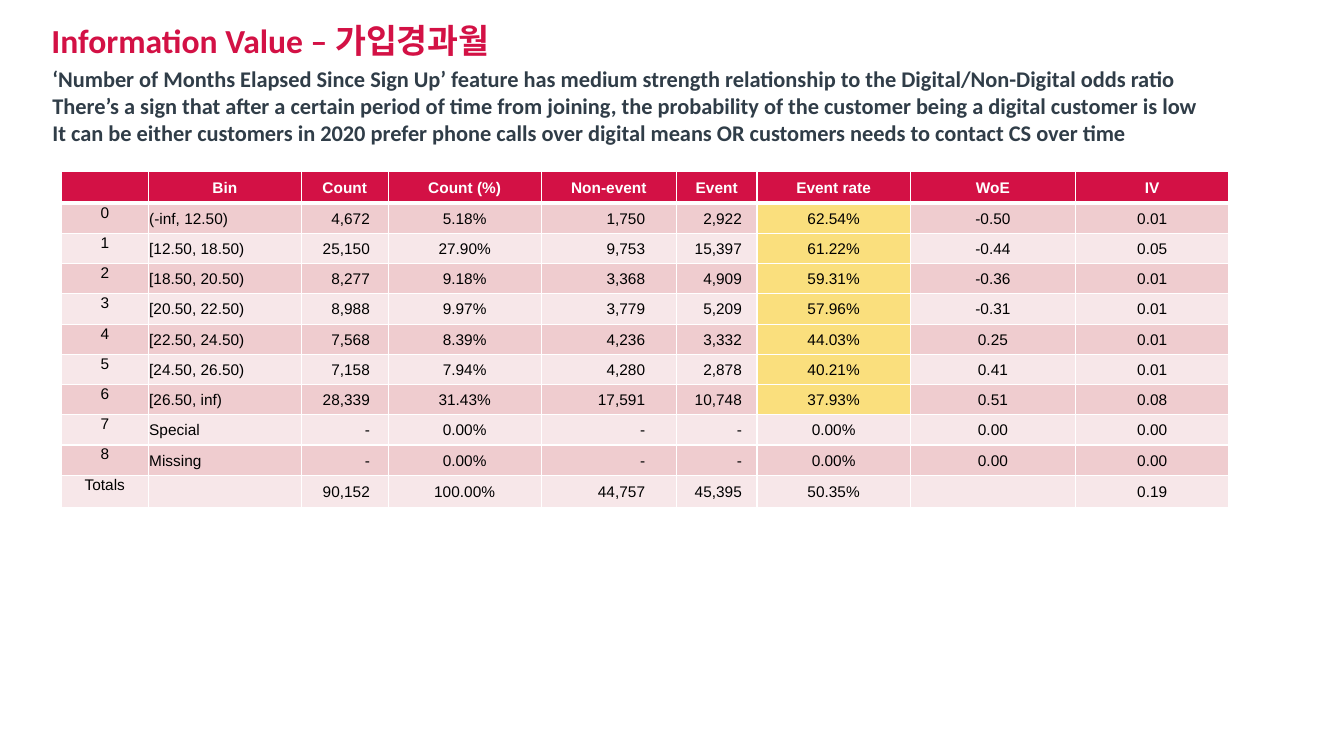
from dataclasses import dataclass

from lxml import etree
from pptx import Presentation
from pptx.dml.color import RGBColor
from pptx.enum.text import MSO_ANCHOR, MSO_AUTO_SIZE, PP_ALIGN
from pptx.oxml.ns import qn
from pptx.util import Inches, Pt

LEFT, MID, RIGHT = PP_ALIGN.LEFT, PP_ALIGN.CENTER, PP_ALIGN.RIGHT
TOP, CENTER = MSO_ANCHOR.TOP, MSO_ANCHOR.MIDDLE
FIXED = MSO_AUTO_SIZE.NONE
RED, SLATE, WHITE, BLACK = "D31145", "303D48", "FFFFFF", "000000"
BANDS = ("F7E7E9", "EFCCCF")
GOLD = "FADF7D"
ROW = 0.3
RATE = 6
RATED = range(1, 8)


@dataclass
class Column:
    head: str
    width: float
    align: int = MID
    pad: float = 0.01
    anchor: int = CENTER


@dataclass
class Block:
    slot: int
    box: tuple
    lines: tuple
    size: int
    color: str
    format: dict


COLUMNS = (
    Column("", 0.86, anchor=TOP),
    Column("Bin", 1.52, LEFT),
    Column("Count", 0.86, RIGHT, 0.18),
    Column("Count (%)", 1.52),
    Column("Non-event", 1.34, RIGHT, 0.31),
    Column("Event", 0.8, RIGHT, 0.15),
    Column("Event rate", 1.52),
    Column("WoE", 1.64),
    Column("IV", 1.52),
)

DATA = (
    ("0", "(-inf, 12.50)", "4,672", "5.18%", "1,750", "2,922", "62.54%", "-0.50", "0.01"),
    ("1", "[12.50, 18.50)", "25,150", "27.90%", "9,753", "15,397", "61.22%", "-0.44", "0.05"),
    ("2", "[18.50, 20.50)", "8,277", "9.18%", "3,368", "4,909", "59.31%", "-0.36", "0.01"),
    ("3", "[20.50, 22.50)", "8,988", "9.97%", "3,779", "5,209", "57.96%", "-0.31", "0.01"),
    ("4", "[22.50, 24.50)", "7,568", "8.39%", "4,236", "3,332", "44.03%", "0.25", "0.01"),
    ("5", "[24.50, 26.50)", "7,158", "7.94%", "4,280", "2,878", "40.21%", "0.41", "0.01"),
    ("6", "[26.50, inf)", "28,339", "31.43%", "17,591", "10,748", "37.93%", "0.51", "0.08"),
    ("7", "Special", "-", "0.00%", "-", "-", "0.00%", "0.00", "0.00"),
    ("8", "Missing", "-", "0.00%", "-", "-", "0.00%", "0.00", "0.00"),
    ("Totals", "", "90,152", "100.00%", "44,757", "45,395", "50.35%", "", "0.19"),
)

BLOCKS = (
    Block(0, (0.51, 0.29, 11.92, 0.83), ("Information Value – 가입경과월",), 24, RED,
          {"line_spacing": Pt(21.8), "alignment": LEFT}),
    Block(1, (0.52, 0.65, 11.75, 0.76), (
        "‘Number of Months Elapsed Since Sign Up’ feature has medium strength relationship to the Digital/Non-Digital odds ratio",
        "There’s a sign that after a certain period of time from joining, the probability of the customer being a digital customer is low",
        "It can be either customers in 2020 prefer phone calls over digital means OR customers needs to contact CS over time",
    ), 16, SLATE, {"space_before": Pt(0), "alignment": LEFT}),
)


def rgb(code: str) -> RGBColor:
    return RGBColor.from_string(code)


def apply(item, values: dict) -> None:
    for name, value in values.items():
        setattr(item, name, value)


def write(para, text: str, face: str, size: int, color: str, bold: bool) -> None:
    run = para.add_run()
    run.text = text
    apply(run.font, {"name": face, "size": Pt(size), "bold": bold})
    run.font.color.rgb = rgb(color)


def border(cell, index: int, side: str, width: float) -> None:
    line = etree.Element(qn(f"a:{side}"), w=str(Pt(width)))
    fill = etree.SubElement(line, qn("a:solidFill"))
    etree.SubElement(fill, qn("a:srgbClr"), val=WHITE)
    cell._tc.get_or_add_tcPr().insert(index, line)


def paint(cell, row: int, col: int, text: str) -> None:
    column, head = COLUMNS[col], row == 0
    color = RED if head else BANDS[row % 2]
    if col == RATE and row in RATED:
        color = GOLD
    cell.fill.solid()
    cell.fill.fore_color.rgb = rgb(color)
    apply(cell, {
        "margin_left": Inches(0.01),
        "margin_top": Inches(0.01),
        "margin_right": Inches(0.01 if head else column.pad),
        "margin_bottom": 0,
        "vertical_anchor": CENTER if head else column.anchor,
    })
    heavy = {"lnB": 0, "lnT": 1}
    for index, side in enumerate(("lnL", "lnR", "lnT", "lnB")):
        border(cell, index, side, 3 if heavy.get(side) == row else 1)
    if text:
        para = cell.text_frame.paragraphs[0]
        para.alignment = MID if head else column.align
        write(para, text, "Arial", 11, WHITE if head else BLACK, head)


def add_grid(slide) -> None:
    rows = (tuple(column.head for column in COLUMNS), *DATA)
    width = sum(column.width for column in COLUMNS)
    table = slide.shapes.add_table(
        len(rows), len(COLUMNS), Inches(0.61), Inches(1.7),
        Inches(width), Inches(ROW * len(rows))).table
    apply(table, {"first_row": False, "horz_banding": False})
    for spot, column in zip(table.columns, COLUMNS):
        spot.width = Inches(column.width)
    for row, texts in enumerate(rows):
        table.rows[row].height = Inches(ROW)
        for col, text in enumerate(texts):
            paint(table.cell(row, col), row, col, text)


def fill_block(slide, block: Block) -> None:
    shape = slide.placeholders[block.slot]
    apply(shape, dict(zip(("left", "top", "width", "height"), map(Inches, block.box))))
    frame = shape.text_frame
    apply(frame, {
        "margin_left": 0, "margin_top": 0, "margin_right": 0, "margin_bottom": 0,
        "word_wrap": True, "auto_size": FIXED, "vertical_anchor": TOP,
    })
    for index, text in enumerate(block.lines):
        para = frame.add_paragraph() if index else frame.paragraphs[0]
        apply(para, block.format)
        props = para._p.get_or_add_pPr()
        props.set("marL", "0")
        props.set("indent", "0")
        etree.SubElement(props, qn("a:buNone"))
        write(para, text, "Calibri", block.size, block.color, True)


def main() -> None:
    deck = Presentation()
    apply(deck, {"slide_width": Inches(13.33), "slide_height": Inches(7.5)})
    slide = deck.slides.add_slide(deck.slide_layouts[1])
    add_grid(slide)
    for block in BLOCKS:
        fill_block(slide, block)
    deck.save("out.pptx")


if __name__ == "__main__":
    main()
